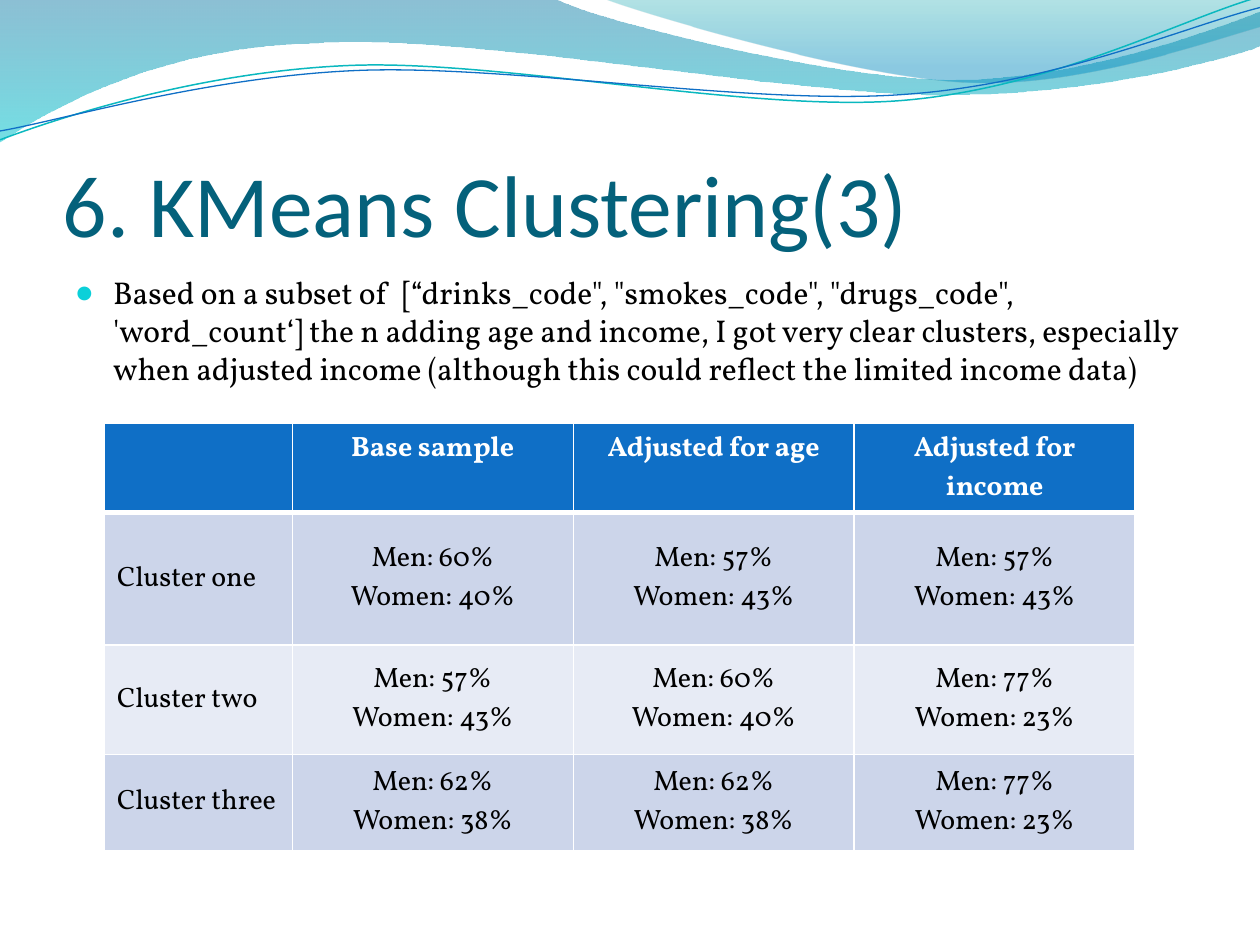
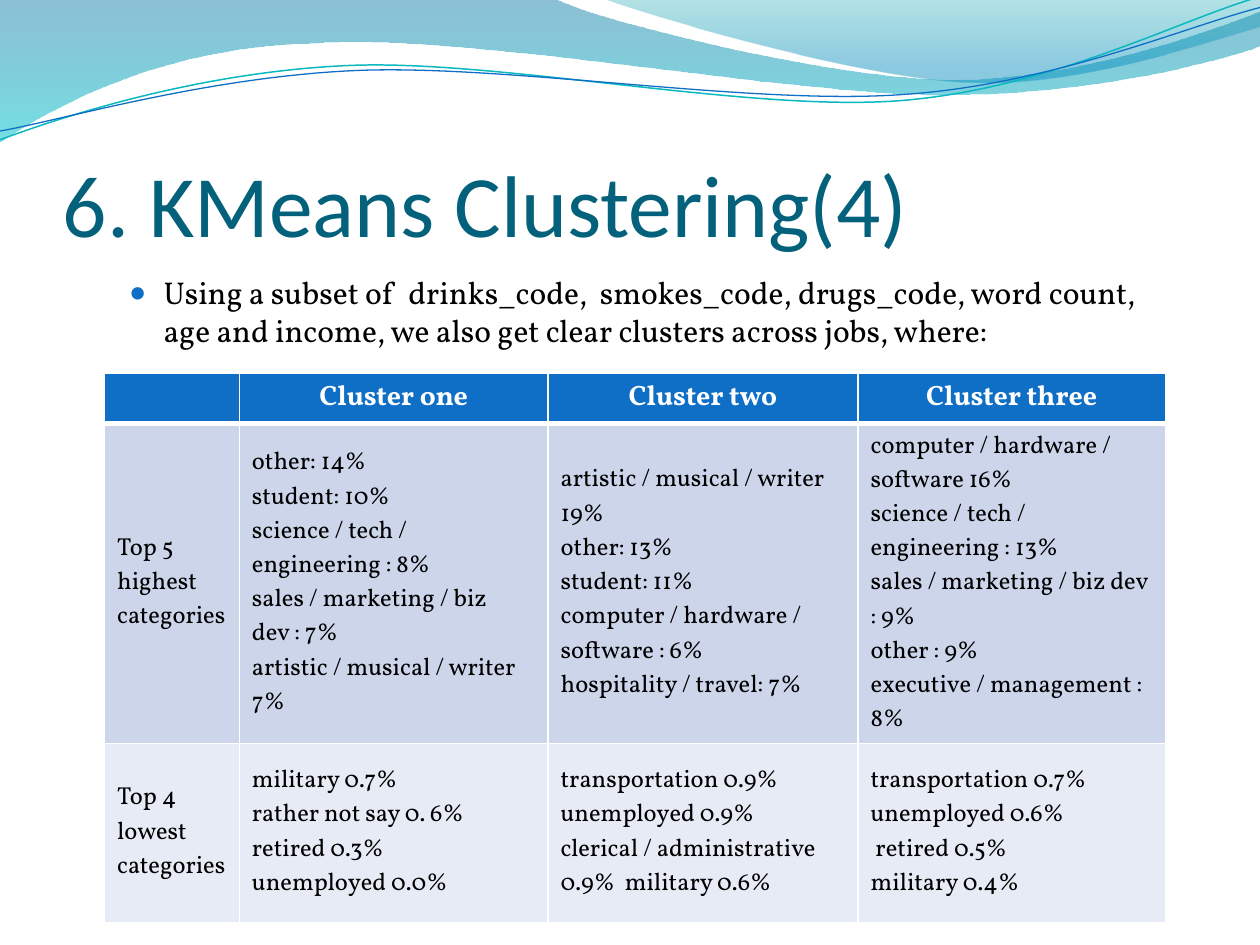
from math import cos, radians, sin

from lxml.etree import SubElement, Element
from pptx import Presentation
from pptx.dml.color import RGBColor
from pptx.enum.text import MSO_ANCHOR, PP_ALIGN
from pptx.oxml.ns import qn
from pptx.util import Inches, Pt

# Look
HUES = {
    "text": "000000", "white": "FFFFFF", "title": "04617B",
    "blue": "0F6FC6", "cyan": "0BD0D9", "teal": "0AB8BF",
    "odd": "CCD5EA", "even": "E7EBF5",
    "deep": "0074A1", "aqua": "00C6CF", "sea": "00A1A9", "sky": "008BBF",
}
SERIF, SANS = "Vollkorn", "Calibri"
LEFT, WIDE = 0.5, 9
TILT = 2.7

# Waves: a start point, then line ends (2 numbers) and curves (6 numbers);
# a pivot marks a wave that is tilted about that point
BANDS = [
    {"start": (0, 0),
     "parts": [(4.4, -0.01), (4.76, 0.17, 6.64, 0.63, 7.58, 0.63),
               (8.53, 0.63, 9.58, 0.26, 10, 0.09), (10.01, 0.36),
               (9.83, 0.44, 8.7, 0.76, 7.46, 0.75),
               (6.22, 0.75, 3.82, 0.28, 2.57, 0.34),
               (1.29, 0.36, 0.46, 0.83, -0.01, 1.13)],
     "stops": [(0, "deep", 45), (100, "aqua", 55)]},
    {"start": (4.79, -0.01),
     "parts": [(5.09, 0.11, 6.82, 0.62, 7.69, 0.65),
               (8.56, 0.69, 9.61, 0.32, 10, 0.21), (10, 0)],
     "stops": [(0, "sea", 30), (80, "sky", 45)]},
    {"start": (0, 1.11),
     "parts": [(0.48, 0.93, 1.58, 0.57, 2.77, 0.52),
               (3.95, 0.47, 5.93, 0.89, 7.13, 0.8),
               (8.33, 0.71, 9.38, 0.15, 9.98, -0.02)],
     "line": ("teal", 0.85), "pivot": (4.99, 0.57)},
    {"start": (0, 1.04),
     "parts": [(0.47, 0.96, 1.64, 0.61, 2.83, 0.56),
               (4.03, 0.51, 5.97, 0.84, 7.17, 0.75),
               (8.36, 0.67, 9.41, 0.21, 10, 0.06)],
     "line": ("blue", 0.75), "pivot": (5, 0.59)},
]


def split(men):
    return [f"Men: {men}%", f"Women: {100 - men}%"]


# Content
PAGES = [
    {"title": "6. KMeans Clustering(3)",
     "body": "Based on a subset of  [“drinks_code\", \"smokes_code\", \"drugs_code\", "
             "'word_count‘] the n adding age and income, I got very clear clusters, "
             "especially when adjusted income (although this could reflect the "
             "limited income data)",
     "dot": ("cyan", 95, 0.3, 0.3), "tall": 4.8,
     "top": 3.36, "cols": [1.49, 2.23, 2.23, 2.23],
     "rows": [0.71, 1.05, 0.87, 0.76], "size": 16, "align": PP_ALIGN.CENTER,
     "head": ["", "Base sample", "Adjusted for age", "Adjusted for income"],
     "cells": [
         [["Cluster one"], split(60), split(57), split(57)],
         [["Cluster two"], split(57), split(60), split(77)],
         [["Cluster three"], split(62), split(62), split(77)],
     ]},
    {"title": "6. KMeans Clustering(4)",
     "body": "Using a subset of  drinks_code,  smokes_code, drugs_code, word count,  "
             "age and income, we also get clear clusters across jobs, where:",
     "dot": ("blue", 85, 0.7, 0.27), "tall": 0.77,
     "top": 2.96, "cols": [1.07, 2.45, 2.46, 2.44],
     "rows": [0.4, 2.54, 1.42], "size": 14, "align": PP_ALIGN.LEFT,
     "head": ["", "Cluster one", "Cluster two", "Cluster three"],
     "cells": [
         [["Top 5 highest categories"],
          ["other: 14%", "student: 10%", "science / tech / engineering : 8%",
           "sales / marketing / biz dev : 7%", "artistic / musical / writer 7%"],
          ["artistic / musical / writer 19%", "other: 13%", "student: 11%",
           "computer / hardware / software : 6%", "hospitality / travel: 7%"],
          ["computer / hardware / software 16%", "science / tech / engineering : 13%",
           "sales / marketing / biz dev : 9%", "other : 9%",
           "executive / management : 8%"]],
         [["Top 4 lowest categories"],
          ["military 0.7%", "rather not say 0. 6% retired 0.3%", "unemployed 0.0%"],
          ["transportation 0.9% unemployed 0.9%",
           "clerical / administrative 0.9%  military 0.6%"],
          ["transportation 0.7% unemployed 0.6%", " retired 0.5%", "military 0.4%"]],
     ]},
]


def color(name):
    return RGBColor.from_string(HUES[name])


def write(frame, lines, size=18, font=SERIF, hue="text", bold=False,
          align=PP_ALIGN.LEFT):
    frame.word_wrap = True
    for i, line in enumerate(lines):
        para = frame.paragraphs[0] if i == 0 else frame.add_paragraph()
        para.alignment = align
        run = para.add_run()
        run.text = line
        run.font.size, run.font.name, run.font.bold = Pt(size), font, bold
        run.font.color.rgb = color(hue)


def paint(node, hue, alpha=None):
    tint = SubElement(node, qn("a:srgbClr"), val=HUES[hue])
    if alpha is not None:
        SubElement(tint, qn("a:alpha"), val=str(alpha * 1000))


# Waves at the top
def place(nums, pivot):
    """Pairs of inches as points, with the tilt about the pivot undone."""
    pts = list(zip(nums[::2], nums[1::2]))
    if pivot:
        px, py = pivot
        c, s = cos(radians(TILT)), sin(radians(TILT))
        pts = [(px + (x - px) * c - (y - py) * s,
                py + (x - px) * s + (y - py) * c) for x, y in pts]
    return [(Inches(x), Inches(y)) for x, y in pts]


def bend(shape, knots):
    """Turn each straight part that has control points into a curve."""
    for seg, pts in zip(list(shape.element.spPr.iter(qn("a:lnTo"))), knots):
        if len(pts) == 3:
            curve = Element(qn("a:cubicBezTo"))
            for x, y in pts:
                SubElement(curve, qn("a:pt"), x=str(x - shape.left),
                           y=str(y - shape.top))
            seg.getparent().replace(seg, curve)


def wave(slide, start, parts, stops=None, line=None, pivot=None):
    knots = [place(part, pivot) for part in parts]
    pen = slide.shapes.build_freeform(*place(start, pivot)[0])
    pen.add_line_segments([pts[-1] for pts in knots], close=bool(stops))
    shape = pen.convert_to_shape()
    bend(shape, knots)
    shape.shadow.inherit = False
    if line:
        shape.rotation = 360 - TILT
        shape.fill.background()
        shape.line.color.rgb = color(line[0])
        shape.line.width = Pt(line[1])
        return
    shape.line.fill.background()
    grad = Element(qn("a:gradFill"), rotWithShape="1")
    items = SubElement(grad, qn("a:gsLst"))
    for pos, hue, alpha in stops:
        paint(SubElement(items, qn("a:gs"), pos=str(pos * 1000)), hue, alpha)
    SubElement(grad, qn("a:lin"), ang="5400000", scaled="0")
    shape.element.spPr.find(qn("a:custGeom")).addnext(grad)


# Title and bullet
def box(slide, top, tall):
    return slide.shapes.add_textbox(
        Inches(LEFT), Inches(top), Inches(WIDE), Inches(tall)).text_frame


def title(slide, text):
    frame = box(slide, 0.77, 1.25)
    frame.vertical_anchor = MSO_ANCHOR.BOTTOM
    frame.margin_left = frame.margin_right = frame.margin_bottom = 0
    write(frame, [text], size=50, font=SANS, hue="title")


def bullet(slide, text, tall, dot):
    hue, size, left, hang = dot
    frame = box(slide, 2.12, tall)
    write(frame, [text])
    para = frame.paragraphs[0]
    para.space_before, para.space_after = Pt(6), Pt(3)
    props = para._p.get_or_add_pPr()
    props.set("marL", str(Inches(left)))
    props.set("indent", str(-Inches(hang)))
    paint(SubElement(props, qn("a:buClr")), hue)
    SubElement(props, qn("a:buSzPct"), val=str(size * 1000))
    SubElement(props, qn("a:buFont"), typeface=SANS)
    SubElement(props, qn("a:buChar"), char="●")


# Table
def border(cell, row):
    props = cell._tc.get_or_add_tcPr()
    thick = {0: "lnB", 1: "lnT"}.get(row)
    for i, side in enumerate(("lnL", "lnR", "lnT", "lnB")):
        width = Pt(3 if side == thick else 1)
        edge = Element(qn(f"a:{side}"), w=str(width))
        paint(SubElement(edge, qn("a:solidFill")), "white")
        props.insert(i, edge)


def grid(slide, page):
    cols, rows = page["cols"], page["rows"]
    table = slide.shapes.add_table(
        len(rows), len(cols), Inches(0.83), Inches(page["top"]),
        Inches(sum(cols)), Inches(sum(rows))).table
    for col, width in zip(table.columns, cols):
        col.width = Inches(width)
    for row, height in zip(table.rows, rows):
        row.height = Inches(height)
    data = [[[text] for text in page["head"]]] + page["cells"]
    for r, row in enumerate(data):
        for c, lines in enumerate(row):
            cell = table.cell(r, c)
            cell.fill.solid()
            if r == 0:
                cell.fill.fore_color.rgb = color("blue")
                write(cell.text_frame, lines, size=16, hue="white", bold=True,
                      align=PP_ALIGN.CENTER)
            else:
                cell.fill.fore_color.rgb = color("odd" if r % 2 else "even")
                cell.vertical_anchor = MSO_ANCHOR.MIDDLE
                write(cell.text_frame, lines, size=page["size"],
                      align=page["align"] if c else PP_ALIGN.LEFT)
            border(cell, r)


def main():
    deck = Presentation()
    deck.slide_width, deck.slide_height = Inches(10), Inches(7.5)
    for page in PAGES:
        slide = deck.slides.add_slide(deck.slide_layouts[6])
        for band in BANDS:
            wave(slide, **band)
        bullet(slide, page["body"], page["tall"], page["dot"])
        title(slide, page["title"])
        grid(slide, page)
    deck.save("out.pptx")


if __name__ == "__main__":
    main()
